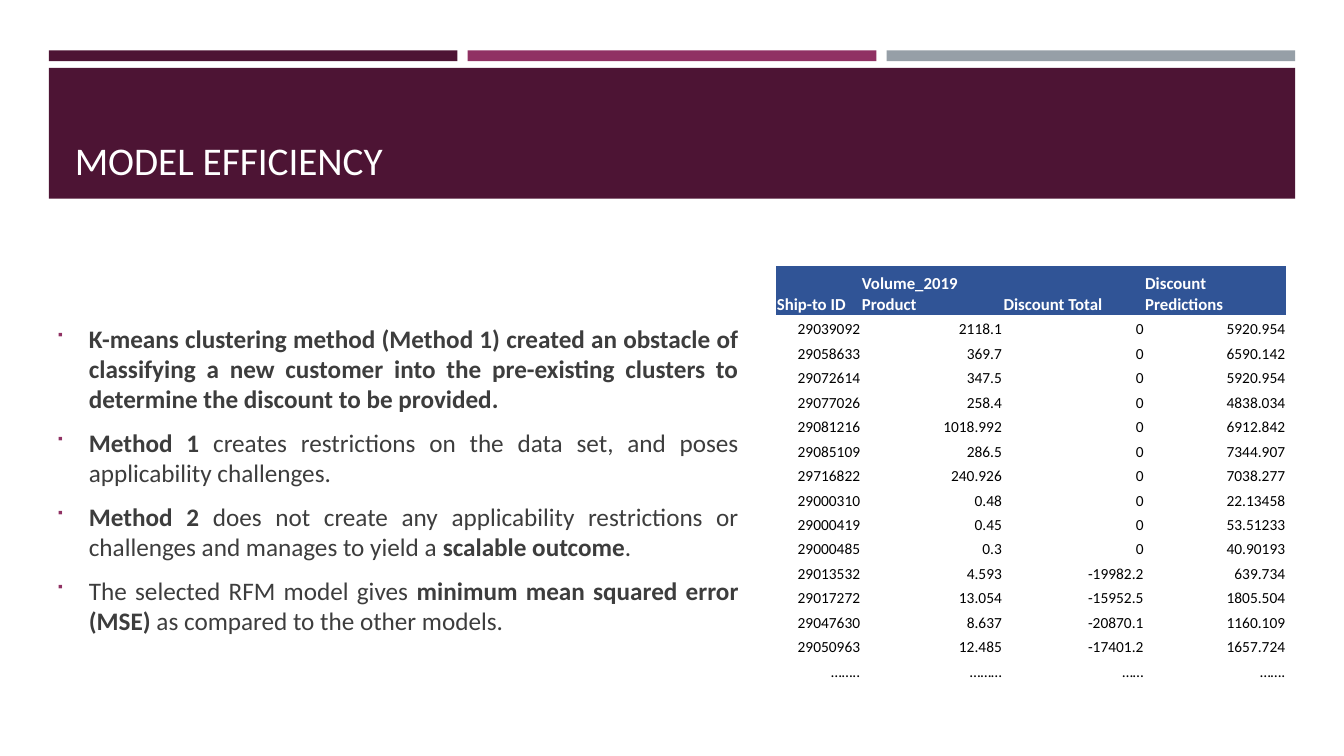
from dataclasses import dataclass

from lxml import etree
from pptx import Presentation
from pptx.dml.color import RGBColor
from pptx.enum.shapes import MSO_SHAPE
from pptx.enum.text import MSO_ANCHOR, PP_ALIGN
from pptx.oxml.ns import qn
from pptx.util import Cm, Pt

RECTANGLE = MSO_SHAPE.RECTANGLE
BOTTOM, MIDDLE = MSO_ANCHOR.BOTTOM, MSO_ANCHOR.MIDDLE
LEFT, RIGHT, JUSTIFY = PP_ALIGN.LEFT, PP_ALIGN.RIGHT, PP_ALIGN.JUSTIFY
TITLE_ONLY = 5
PLAIN_TABLE_STYLE = "{2D5ABB26-0587-4C30-8999-92F81FD0307C}"


@dataclass(frozen=True)
class Theme:
    font: str = "Calibri"
    plum: str = "4D1434"
    magenta: str = "903163"
    gray: str = "969FA7"
    blue: str = "305496"
    white: str = "FFFFFF"
    body: str = "3D3D3D"
    black: str = "000000"
    title_size: int = 28
    body_size: int = 18
    header_size: int = 12
    cell_size: int = 11


@dataclass(frozen=True)
class Box:
    left: float
    top: float
    width: float
    height: float

    def lengths(self):
        return Cm(self.left), Cm(self.top), Cm(self.width), Cm(self.height)


THEME = Theme()

FINDINGS = [
    "**K-means clustering method (Method 1) created an obstacle of classifying a new "
    "customer into the pre-existing clusters to determine the discount to be provided.**",
    "**Method 1 **creates restrictions on the data set, and poses applicability challenges.",
    "**Method 2 **does not create any applicability restrictions or challenges and manages "
    "to yield a **scalable outcome**.",
    "The selected RFM model gives **minimum mean squared error (MSE) **as compared to the "
    "other models.",
]

PREDICTIONS = [
    ("Ship-to ID", "Volume_2019 Product", "Discount Total", "Discount Predictions"),
    ("29039092", "2118.1", "0", "5920.954"),
    ("29058633", "369.7", "0", "6590.142"),
    ("29072614", "347.5", "0", "5920.954"),
    ("29077026", "258.4", "0", "4838.034"),
    ("29081216", "1018.992", "0", "6912.842"),
    ("29085109", "286.5", "0", "7344.907"),
    ("29716822", "240.926", "0", "7038.277"),
    ("29000310", "0.48", "0", "22.13458"),
    ("29000419", "0.45", "0", "53.51233"),
    ("29000485", "0.3", "0", "40.90193"),
    ("29013532", "4.593", "-19982.2", "639.734"),
    ("29017272", "13.054", "-15952.5", "1805.504"),
    ("29047630", "8.637", "-20870.1", "1160.109"),
    ("29050963", "12.485", "-17401.2", "1657.724"),
    ("……..", "………", "……", "……."),
]


def style_font(font, size, color, bold=False):
    font.name = THEME.font
    font.size = Pt(size)
    font.color.rgb = RGBColor.from_string(color)
    font.bold = bold


def add_block(slide, box, color):
    block = slide.shapes.add_shape(RECTANGLE, *box.lengths())
    block.shadow.inherit = False
    block.fill.solid()
    block.fill.fore_color.rgb = RGBColor.from_string(color)
    block.line.fill.background()


def add_banner(slide, box):
    gap, stripe_height, banner_offset = 0.26, 0.27, 0.44
    stripe_width = (box.width - 2 * gap) / 3
    for index, color in enumerate((THEME.plum, THEME.magenta, THEME.gray)):
        left = box.left + index * (stripe_width + gap)
        add_block(slide, Box(left, box.top, stripe_width, stripe_height), color)
    add_block(slide, Box(box.left, box.top + banner_offset, box.width,
                         box.height - banner_offset), THEME.plum)

    title = slide.shapes.title
    title.element.getparent().append(title.element)
    title.left, title.top, title.width, title.height = Box(
        box.left + 0.4, box.top + 0.69, box.width - 0.8, box.height - 0.94).lengths()
    title.text_frame.text = "MODEL EFFICIENCY"
    title.text_frame.vertical_anchor = BOTTOM
    heading = title.text_frame.paragraphs[0]
    heading.alignment = LEFT
    style_font(heading.font, THEME.title_size, THEME.white)


def add_bullet(paragraph):
    properties = paragraph._p.get_or_add_pPr()
    properties.set("marL", str(Cm(0.85)))
    properties.set("indent", str(-Cm(0.85)))
    color = etree.SubElement(properties, qn("a:buClr"))
    etree.SubElement(color, qn("a:srgbClr"), val=THEME.magenta)
    etree.SubElement(properties, qn("a:buSzPct"), val="92000")
    etree.SubElement(properties, qn("a:buFont"), typeface="Wingdings")
    etree.SubElement(properties, qn("a:buChar"), char="■")


def add_findings(slide, box):
    frame = slide.shapes.add_textbox(*box.lengths()).text_frame
    frame.word_wrap = True
    frame.vertical_anchor = MIDDLE
    for index, finding in enumerate(FINDINGS):
        paragraph = frame.add_paragraph() if index else frame.paragraphs[0]
        paragraph.alignment = JUSTIFY
        paragraph.space_before = Pt(3.6)
        paragraph.space_after = Pt(6)
        add_bullet(paragraph)
        style_font(paragraph.font, THEME.body_size, THEME.body)
        for position, words in enumerate(finding.split("**")):
            if words:
                run = paragraph.add_run()
                run.text = words
                style_font(run.font, THEME.body_size, THEME.body, position % 2 == 1)


def fill_cell(cell, text, is_header):
    cell.text = text
    cell.vertical_anchor = BOTTOM
    cell.margin_left = cell.margin_top = cell.margin_right = Cm(0.02)
    cell.margin_bottom = 0
    paragraph = cell.text_frame.paragraphs[0]
    if is_header:
        cell.fill.solid()
        cell.fill.fore_color.rgb = RGBColor.from_string(THEME.blue)
        paragraph.alignment = LEFT
        style_font(paragraph.font, THEME.header_size, THEME.white, True)
    else:
        cell.fill.background()
        paragraph.alignment = RIGHT
        style_font(paragraph.font, THEME.cell_size, THEME.black)


def add_predictions(slide, box):
    id_width, header_height = 2.14, 1.22
    row_count, column_count = len(PREDICTIONS), len(PREDICTIONS[0])
    value_width = (box.width - id_width) / (column_count - 1)
    row_height = (box.height - header_height) / (row_count - 1)
    table = slide.shapes.add_table(row_count, column_count, *box.lengths()).table
    table.horz_banding = False
    table._tbl.tblPr.find(qn("a:tableStyleId")).text = PLAIN_TABLE_STYLE
    for index, column in enumerate(table.columns):
        column.width = Cm(value_width if index else id_width)
    for index, row in enumerate(table.rows):
        row.height = Cm(row_height if index else header_height)
        for cell, text in zip(row.cells, PREDICTIONS[index]):
            fill_cell(cell, text, index == 0)


def main():
    presentation = Presentation()
    presentation.slide_width, presentation.slide_height = Cm(33.87), Cm(19.05)
    slide = presentation.slides.add_slide(presentation.slide_layouts[TITLE_ONLY])
    add_banner(slide, Box(1.23, 1.27, 31.41, 3.74))
    add_findings(slide, Box(1.14, 6.2, 17.73, 11.76))
    add_predictions(slide, Box(19.56, 6.71, 12.85, 10.46))
    presentation.save("out.pptx")


if __name__ == "__main__":
    main()
